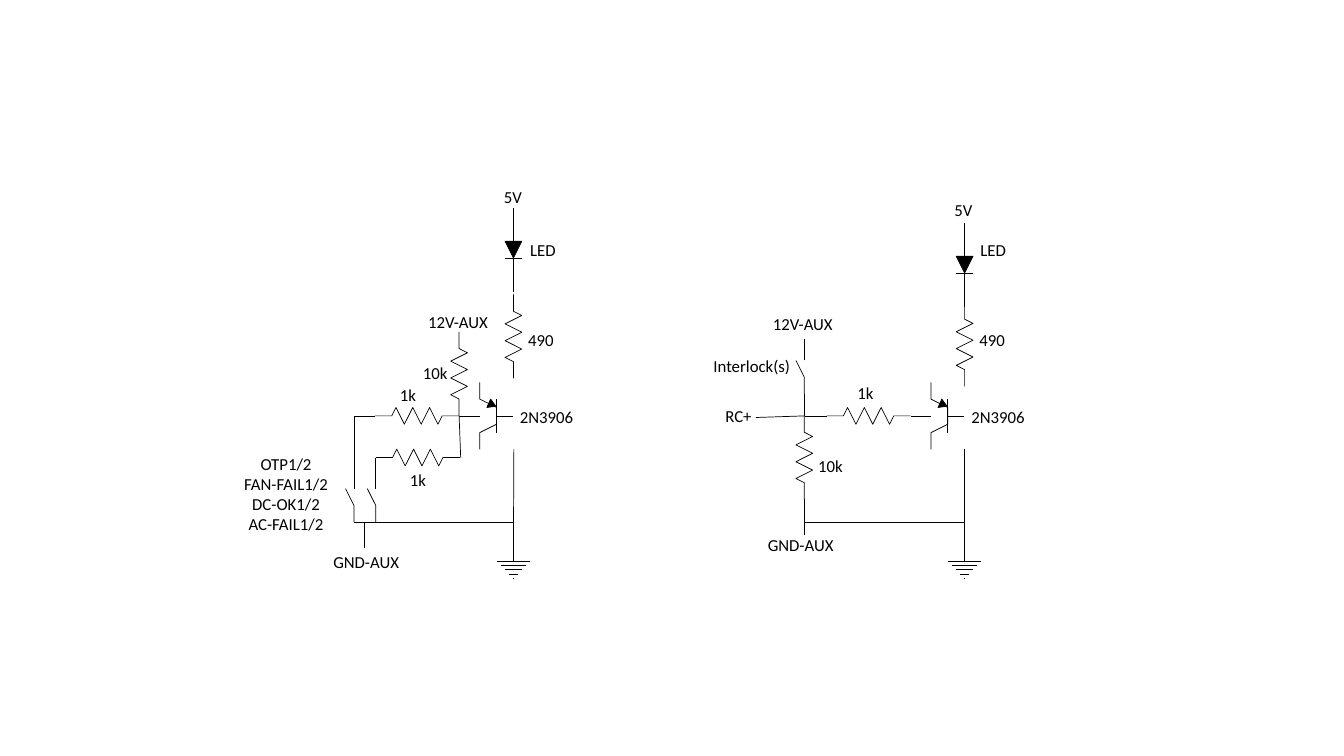
from pptx import Presentation
from pptx.dml.color import RGBColor
from pptx.enum.shapes import MSO_CONNECTOR
from pptx.enum.text import MSO_AUTO_SIZE, PP_ALIGN
from pptx.oxml.ns import qn
from pptx.util import Cm, Pt
from lxml.etree import SubElement

COLORS = {"ink": "000000"}
FONT = "Calibri"
UNIT = 2.54 / 12  # symbol grid in cm
LABEL_HEIGHT = 0.76

# Symbols: strokes on the unit grid, as (points, filled)
ZIGZAG = [(0, 0), (0, 2), (1, 2.5), (-1, 3.5), (1, 4.5), (-1, 5.5),
          (1, 6.5), (-1, 7.5), (0, 8), (0, 10)]
SYMBOLS = {
    "transistor": [
        ([(0, -4), (0, -2), (2, -1), (2, 1), (0, 2), (0, 4)], False),
        ([(2, -2), (2, 2)], False),
        ([(2, 0), (4, 0)], False),
        ([(1.92, -1.15), (1.3, -2), (0.85, -1)], True),
    ],
    "led": [
        ([(0, 10), (0, 6)], False),
        ([(1, 6), (-1, 6)], False),
        ([(0, 6), (1, 4), (-1, 4)], True),
        ([(0, 4), (0, 0)], False),
    ],
    "ground": [([(0, 0), (0, 3)], False)]
    + [([(-half, 5 - half), (half, 5 - half)], False) for half in (1.5, 1, 0.5)]
    + [([(-2, 3), (2, 3)], False), ([(0, 5), (-0.1, 5)], False)],
    "switch": [
        ([(0, 6), (0, 4), (-1, 2)], False),
        ([(0, 2), (0, 0)], False),
    ],
    "resistor down": [(ZIGZAG, False)],
    "resistor across": [([(y, -x) for x, y in ZIGZAG], False)],
}

# Circuits: positions in cm
LED_DRIVERS = [
    {
        "symbols": [
            ("transistor", 12.09, 10.48), ("led", 12.94, 5.23),
            ("resistor down", 12.94, 7.42), ("ground", 12.94, 13.51),
            ("switch", 8.92, 11.89), ("switch", 9.47, 11.89),
            ("resistor down", 11.57, 8.36),
            ("resistor across", 9.45, 10.48), ("resistor across", 9.47, 11.53),
        ],
        "wires": [
            (12.09, 10.48, 11.57, 10.48), (11.61, 11.53, 11.57, 10.48),
            (12.94, 13.51, 12.95, 11.32), (9.47, 11.89, 9.47, 11.53),
            (8.92, 10.48, 9.45, 10.48), (8.92, 11.89, 8.92, 10.52),
            (8.92, 13.16, 9.47, 13.16), (9.19, 13.82, 9.19, 13.16),
            (9.47, 13.16, 12.94, 13.16),
        ],
        "labels": [
            (["12V-AUX"], 10.54, 7.72, 2.06), (["5V"], 12.45, 4.57, 0.97),
            (["10k"], 10.41, 9.02, 1.14), (["490"], 13.06, 8.18, 1.17),
            (["LED"], 13.11, 5.92, 1.17), (["2N3906"], 12.85, 10.13, 1.88),
            (["1k"], 9.83, 9.58, 0.91), (["GND-AUX"], 8.15, 13.77, 2.18),
            (["OTP1/2", "FAN-FAIL1/2", "DC-OK1/2", "AC-FAIL1/2"],
             5.89, 11.3, 2.64),
            (["1k"], 10.08, 11.71, 0.91),
        ],
    },
    {
        "symbols": [
            ("transistor", 23.46, 10.48), ("led", 24.31, 5.61),
            ("resistor down", 24.31, 7.62), ("ground", 24.31, 13.51),
            ("switch", 20.27, 8.66), ("resistor across", 20.83, 10.48),
            ("resistor down", 20.27, 10.47),
        ],
        "wires": [
            (23.46, 10.48, 22.95, 10.48), (24.31, 13.51, 24.31, 11.32),
            (20.29, 10.48, 20.83, 10.48), (19.05, 10.52, 20.27, 10.48),
            (20.27, 13.49, 20.27, 12.58), (20.29, 13.16, 24.31, 13.16),
            (20.27, 8.66, 20.27, 8.53), (20.27, 10.47, 20.27, 9.93),
        ],
        "labels": [
            (["12V-AUX"], 19.23, 7.77, 2.06), (["5V"], 23.8, 4.9, 0.97),
            (["490"], 24.43, 8.18, 1.17), (["LED"], 24.46, 5.92, 1.17),
            (["2N3906"], 24.23, 10.13, 1.88), (["RC+"], 18.03, 10.11, 1.19),
            (["GND-AUX"], 19.1, 13.36, 2.18), (["1k"], 21.36, 9.53, 0.91),
            (["10k"], 20.37, 11.35, 1.14),
            (["Interlock(s)"], 17.73, 8.84, 2.46),
        ],
    },
]


def ink():
    """Return the drawing colour."""
    return RGBColor.from_string(COLORS["ink"])


def style_line(shape):
    """Give a shape or connector the thin schematic line."""
    shape.line.color.rgb = ink()
    shape.line.width = Pt(0.5)


def add_wire(shapes, start, end):
    """Join two points, given in cm, with a straight line."""
    wire = shapes.add_connector(
        MSO_CONNECTOR.STRAIGHT, *(Cm(value) for value in (*start, *end)))
    style_line(wire)
    SubElement(wire._element.spPr, qn("a:effectLst"))


def add_outline(shapes, points, filled):
    """Draw an open path, or a closed filled one, through points in cm."""
    corners = [(Cm(x), Cm(y)) for x, y in points]
    builder = shapes.build_freeform(*corners[0])
    builder.add_line_segments(corners[1:], close=filled)
    outline = builder.convert_to_shape()
    outline.shadow.inherit = False
    if filled:
        outline.fill.solid()
        outline.fill.fore_color.rgb = ink()
    else:
        outline.fill.background()
    style_line(outline)


def add_symbol(page, name, left, top):
    """Place a circuit symbol, grouped when it has several strokes."""
    strokes = SYMBOLS[name]
    shapes = page.shapes
    if len(strokes) > 1:
        shapes = shapes.add_group_shape().shapes
    for points, filled in strokes:
        placed = [(left + x * UNIT, top + y * UNIT) for x, y in points]
        if len(placed) == 2:
            add_wire(shapes, *placed)
        else:
            add_outline(shapes, placed, filled)


def add_label(page, lines, left, top, width):
    """Write a label of one or more lines; several lines are centred."""
    height = LABEL_HEIGHT + 0.52 * (len(lines) - 1)
    box = page.shapes.add_textbox(Cm(left), Cm(top), Cm(width), Cm(height))
    frame = box.text_frame
    frame.word_wrap = False
    frame.auto_size = MSO_AUTO_SIZE.SHAPE_TO_FIT_TEXT
    for index, line in enumerate(lines):
        para = frame.add_paragraph() if index else frame.paragraphs[0]
        para.alignment = PP_ALIGN.CENTER if len(lines) > 1 else PP_ALIGN.LEFT
        span = para.add_run()
        span.text = line
        span.font.name = FONT
        span.font.size = Pt(12)
        span.font.color.rgb = ink()


def main():
    """Build the slide with both LED driver circuits."""
    deck = Presentation()
    deck.slide_width, deck.slide_height = Cm(33.87), Cm(19.05)
    page = deck.slides.add_slide(deck.slide_layouts[6])
    for circuit in LED_DRIVERS:
        for symbol in circuit["symbols"]:
            add_symbol(page, *symbol)
        for x1, y1, x2, y2 in circuit["wires"]:
            add_wire(page.shapes, (x1, y1), (x2, y2))
        for label in circuit["labels"]:
            add_label(page, *label)
    deck.save("out.pptx")


main()
